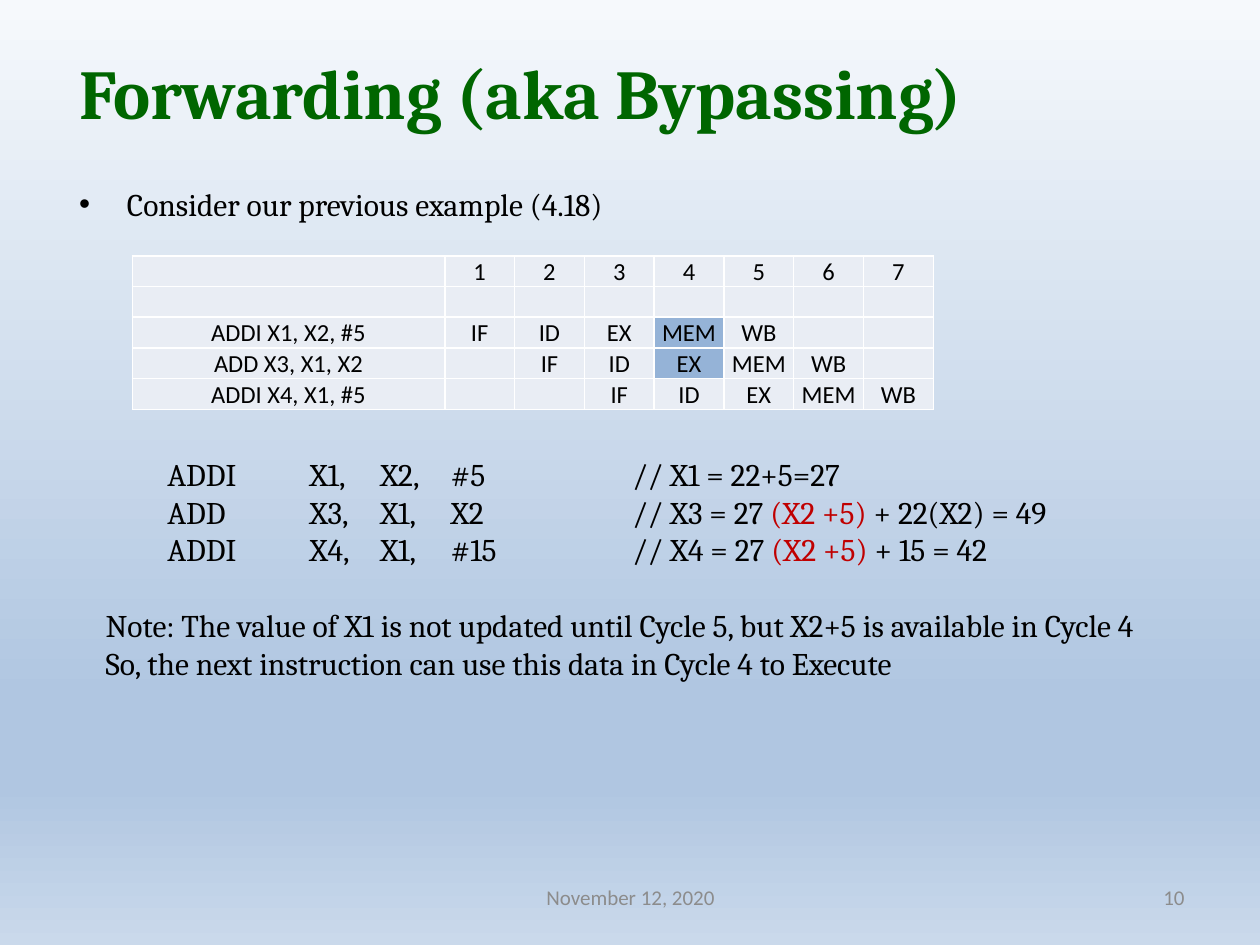
from lxml.etree import SubElement
from pptx import Presentation
from pptx.dml.color import RGBColor
from pptx.enum.text import MSO_ANCHOR, PP_ALIGN
from pptx.oxml.ns import qn
from pptx.util import Inches, Pt

HUES = {"ink": "000000", "title": "006600", "red": "C00000", "grey": "8C8C8C",
        "cell": "E9EDF4", "mark": "95B3D7", "line": "FFFFFF"}
SKY = [(0, "F6F9FC"), (74, "B0C6E1"), (83, "B0C6E1"), (100, "CAD9EB")]
TABS = [0.49, 1.62, 2.18, 2.74, 4.18]
STEPS = ["IF", "ID", "EX", "MEM", "WB"]
TASKS = ["ADDI X1, X2, #5", "ADD X3, X1, X2", "ADDI X4, X1, #5"]
MARKS = [(2, 4), (3, 4)]
CODE = [
    (["ADDI", "X1,", "X2,", "#5"], ["// X1 = 22+5=27"]),
    (["ADD", "X3,", "X1,", "X2"], ["// X3 = 27 ", "(X2 +5) ", "+ 22(X2) = 49"]),
    (["ADDI", "X4,", "X1,", "#15"], ["// X4 = 27 ", "(X2 +5) ", "+ 15 = 42"]),
]
NOTES = ["Note: The value of X1 is not updated until Cycle 5, but X2+5 is available in Cycle 4",
         "So, the next instruction can use this data in Cycle 4 to Execute"]


def write(para, text, size=18, font="Cambria", hue="ink", bold=False, align=PP_ALIGN.LEFT):
    """Add one formatted run to a paragraph."""
    para.alignment = align
    run = para.add_run()
    run.text = text
    run.font.size, run.font.name, run.font.bold = Pt(size), font, bold
    run.font.color.rgb = RGBColor.from_string(HUES[hue])


def frame(slide, box, anchor=MSO_ANCHOR.TOP):
    """Add a wrapping text box and return its text frame."""
    body = slide.shapes.add_textbox(*map(Inches, box)).text_frame
    body.word_wrap = True
    body.vertical_anchor = anchor
    return body


def label(slide, box, text, **style):
    """Place one middle-anchored line of text."""
    write(frame(slide, box, MSO_ANCHOR.MIDDLE).paragraphs[0], text, **style)


def paint(slide):
    """Fill the background with the vertical gradient."""
    fill = slide.background.fill
    fill.gradient()
    fill.gradient_angle = 270
    stops = next(slide.background._cSld.iter(qn("a:gsLst")))
    for stop in list(stops):
        stops.remove(stop)
    for spot, hue in SKY:
        stop = SubElement(stops, qn("a:gs"), pos=str(spot * 1000))
        SubElement(stop, qn("a:srgbClr"), val=hue)


def bullet(slide, box, text):
    """Place a bulleted line with a hanging indent."""
    para = frame(slide, box).paragraphs[0]
    props = para._p.get_or_add_pPr()
    props.set("marL", str(Inches(0.38)))
    props.set("indent", str(-Inches(0.38)))
    SubElement(props, qn("a:buFont"), typeface="Arial")
    SubElement(props, qn("a:buChar"), char="•")
    write(para, text)


def style(cell, text, hue):
    """Give a table cell its text, margins, borders and fill."""
    cell.margin_left = cell.margin_right = cell.margin_top = Inches(0.01)
    cell.margin_bottom = 0
    cell.vertical_anchor = MSO_ANCHOR.BOTTOM
    para = cell.text_frame.paragraphs[0]
    if text:
        write(para, text, size=14, font="Calibri", align=PP_ALIGN.CENTER)
    else:
        SubElement(para._p, qn("a:endParaRPr"), sz="1400")
    props = cell._tc.get_or_add_tcPr()
    for side in ("a:lnL", "a:lnR", "a:lnT", "a:lnB"):
        line = SubElement(props, qn(side), w=str(Pt(1)))
        SubElement(SubElement(line, qn("a:solidFill")), qn("a:srgbClr"), val=HUES["line"])
    cell.fill.solid()
    cell.fill.fore_color.rgb = RGBColor.from_string(HUES[hue])


def chart(slide, box):
    """Place the pipeline table, each task one cycle after the last."""
    rows = [[""] + [str(n) for n in range(1, 8)], [""] * 8]
    for late, task in enumerate(TASKS):
        rows.append([task] + [""] * late + STEPS + [""] * (2 - late))
    grid = slide.shapes.add_table(len(rows), 8, *map(Inches, box)).table
    grid.first_row = grid.horz_banding = False
    first = 2.48
    for col, part in enumerate(grid.columns):
        part.width = Inches(first if col == 0 else (box[2] - first) / 7)
    for row, texts in enumerate(rows):
        grid.rows[row].height = Inches(box[3] / len(rows))
        for col, text in enumerate(texts):
            style(grid.cell(row, col), text, "mark" if (row, col) in MARKS else "cell")


def listing(slide, box):
    """Place the tabbed code lines and the notes below them."""
    body = frame(slide, box)
    for row, (words, parts) in enumerate(CODE):
        para = body.add_paragraph() if row else body.paragraphs[0]
        tabs = SubElement(para._p.get_or_add_pPr(), qn("a:tabLst"))
        for stop in TABS:
            SubElement(tabs, qn("a:tab"), pos=str(Inches(stop)), algn="l")
        write(para, "\t" + "\t".join(words) + "\t")
        for part in parts:
            write(para, part, hue="red" if part.startswith("(") else "ink")
    for row, text in enumerate(NOTES):
        para = body.add_paragraph()
        if row == 0:
            para.space_before = Pt(21.6)
        write(para, text)


def main():
    """Build the slide and save it."""
    deck = Presentation()
    deck.slide_width, deck.slide_height = Inches(10), Inches(7.5)
    slide = deck.slides.add_slide(deck.slide_layouts[6])
    paint(slide)
    foot = {"size": 12, "font": "Calibri", "hue": "grey"}
    label(slide, (7.17, 6.92, 2.33, 0.4), "10", align=PP_ALIGN.RIGHT, **foot)
    label(slide, (3.42, 6.92, 3.17, 0.4), "November 12, 2020", align=PP_ALIGN.CENTER, **foot)
    bullet(slide, (0.53, 1.42, 9.03, 0.58), "Consider our previous example (4.18)")
    label(slide, (0.53, 0.31, 9.03, 0.83), "Forwarding (aka Bypassing)",
          size=40, hue="title", bold=True)
    listing(slide, (0.74, 3.56, 8.76, 1.92))
    chart(slide, (1.05, 2.03, 6.36, 1.2))
    deck.save("out.pptx")


if __name__ == "__main__":
    main()
